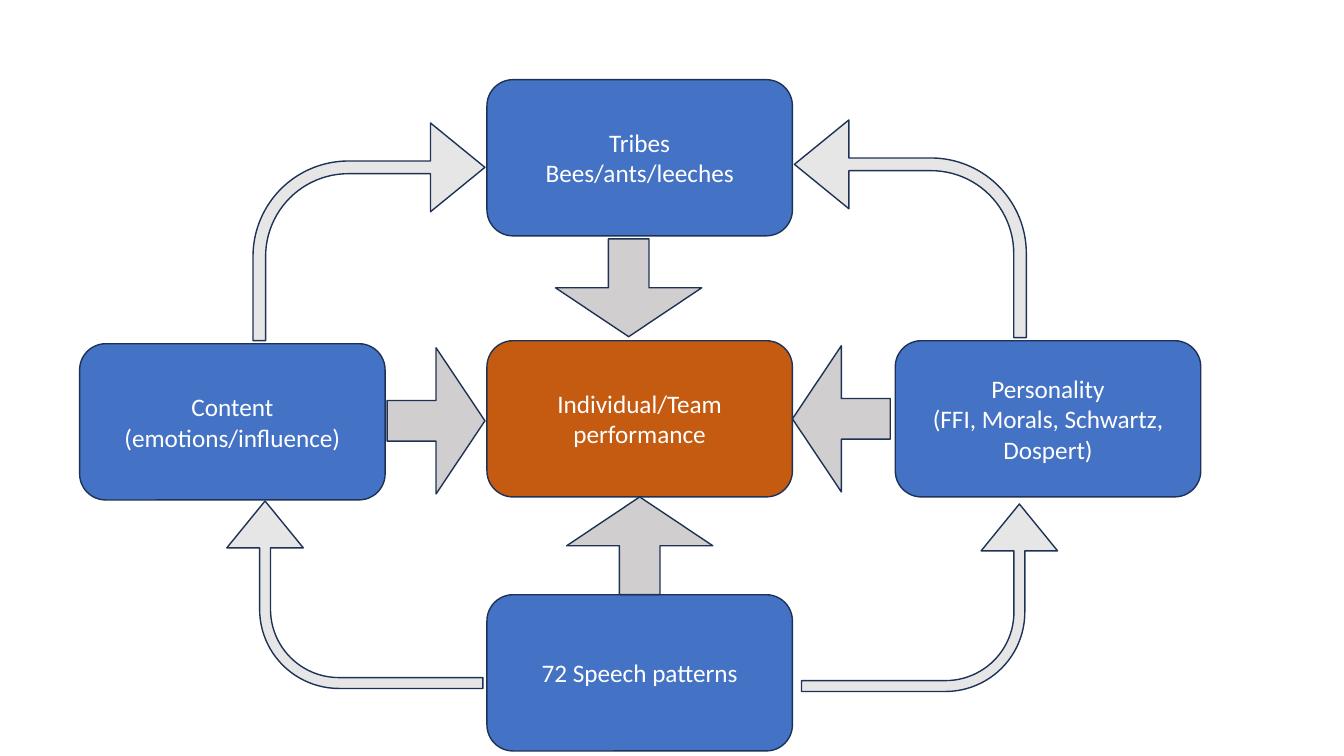
from pptx import Presentation
from pptx.dml.color import RGBColor
from pptx.enum.shapes import MSO_SHAPE as Shape
from pptx.enum.text import MSO_ANCHOR as Anchor, PP_ALIGN as Align
from pptx.util import Inches, Pt

BLUE, ORANGE, WHITE = "4472C4", "C55A11", "FFFFFF"
OUTLINE, MID_GREY, LIGHT_GREY = "1E3256", "D0CECE", "E7E6E6"
BOX_SIZE = (3.03, 1.55)
BLOCK_ARROW_SIZE = (1.45, 0.97)
LEFT, CENTER, RIGHT = 0.79, 4.83, 8.88
TOP, MIDDLE, BOTTOM = 0.79, 3.38, 5.9


def color(hex_value):
    return RGBColor.from_string(hex_value)


def add_outlined(slide, kind, box, fill):
    """Add a filled preset shape with the common outline."""
    shape = slide.shapes.add_shape(kind, *(Inches(length) for length in box))
    shape.shadow.inherit = False
    shape.fill.solid()
    shape.fill.fore_color.rgb = color(fill)
    shape.line.color.rgb = color(OUTLINE)
    shape.line.width = Pt(1)
    return shape


def add_topic(slide, left, top, lines, fill=BLUE):
    """Add a rounded box with one centred paragraph per line."""
    shape = add_outlined(slide, Shape.ROUNDED_RECTANGLE, (left, top, *BOX_SIZE), fill)
    frame = shape.text_frame
    frame.word_wrap = True
    frame.vertical_anchor = Anchor.MIDDLE
    frame.text = "\n".join(lines)
    for paragraph in frame.paragraphs:
        paragraph.alignment = Align.CENTER
        paragraph.font.name = "Calibri"
        paragraph.font.size = Pt(18)
        paragraph.font.color.rgb = color(WHITE)


def add_arrow(slide, kind, box, fill, adjustments, rotation=0, flipped=False):
    """Add an arrow, turned clockwise and optionally mirrored."""
    shape = add_outlined(slide, kind, box, fill)
    for index, value in enumerate(adjustments):
        shape.adjustments[index] = value
    shape.rotation = rotation
    if flipped:
        shape._element.spPr.xfrm.set("flipH", "1")


def add_topics(slide):
    add_topic(slide, CENTER, BOTTOM, ["72 Speech patterns"])
    add_topic(slide, LEFT, MIDDLE + 0.03, ["Content (emotions/influence)"])
    add_topic(slide, RIGHT, MIDDLE, ["Personality", "(FFI, Morals, Schwartz, Dospert)"])
    add_topic(slide, CENTER, TOP, ["Tribes", "Bees/ants/leeches"])
    add_topic(slide, CENTER, MIDDLE, ["Individual/Team performance"], ORANGE)


def add_inward_arrows(slide):
    for left, top, rotation in [(5.62, 4.93, 0), (5.51, 2.37, 180),
                                (7.62, 3.67, 270), (3.6, 3.69, 90)]:
        add_arrow(slide, Shape.UP_ARROW, (left, top, *BLOCK_ARROW_SIZE),
                  MID_GREY, (0.278, 0.5), rotation)


def add_outer_arrows(slide):
    upper, lower = (2.3, 2.16), (1.86, 2.54)
    for left, top, size, bend, rotation, flipped in [
        (2.51, 1.22, upper, 0.438, 0, False),
        (7.88, 1.19, upper, 0.438, 0, True),
        (8.29, 4.66, lower, 0.423, 90, True),
        (2.59, 4.63, lower, 0.423, 270, False),
    ]:
        add_arrow(slide, Shape.BENT_ARROW, (left, top, *size), LIGHT_GREY,
                  (0.058, 0.204, 0.25, bend), rotation, flipped)


def main():
    presentation = Presentation()
    presentation.slide_width = Inches(13.33)
    presentation.slide_height = Inches(7.5)
    slide = presentation.slides.add_slide(presentation.slide_layouts[6])

    # Topic boxes around the central outcome
    add_topics(slide)
    # Block arrows pointing to the centre
    add_inward_arrows(slide)
    # Bent arrows linking the outer boxes
    add_outer_arrows(slide)

    presentation.save("out.pptx")


if __name__ == "__main__":
    main()
